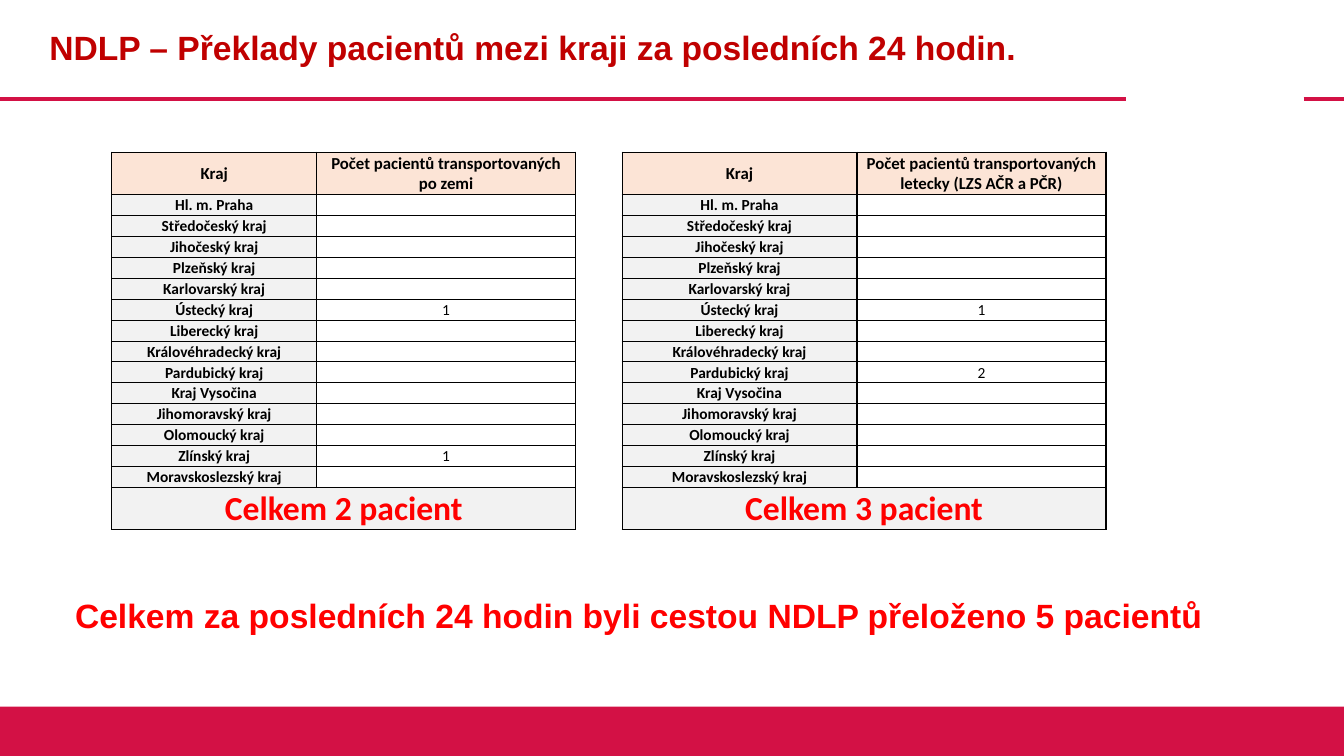
from lxml import etree
from pptx import Presentation
from pptx.dml.color import RGBColor
from pptx.enum.shapes import MSO_CONNECTOR, MSO_SHAPE
from pptx.enum.text import MSO_ANCHOR, PP_ALIGN
from pptx.oxml.ns import qn
from pptx.util import Inches, Pt

STRAIGHT = MSO_CONNECTOR.STRAIGHT
RECTANGLE = MSO_SHAPE.RECTANGLE
MIDDLE, TOP = MSO_ANCHOR.MIDDLE, MSO_ANCHOR.TOP
CENTER, LEFT = PP_ALIGN.CENTER, PP_ALIGN.LEFT

CRIMSON, DARK_RED, RED, BLACK = "D31145", "C00000", "FF0000", "000000"
PEACH, GREY = "FCE4D6", "F2F2F2"

REGIONS = [
    "Hl. m. Praha", "Středočeský kraj", "Jihočeský kraj", "Plzeňský kraj",
    "Karlovarský kraj", "Ústecký kraj", "Liberecký kraj",
    "Královéhradecký kraj", "Pardubický kraj", "Kraj Vysočina",
    "Jihomoravský kraj", "Olomoucký kraj", "Zlínský kraj",
    "Moravskoslezský kraj",
]
TABLE_TOP, TABLE_HEIGHT, TALL_ROW = 1.51, 3.75, 0.42
REGION_ROW = (TABLE_HEIGHT - 2 * TALL_ROW) / len(REGIONS)


def color(hex_value):
    return RGBColor.from_string(hex_value)


def add_run(paragraph, text, size, font_name, hex_value, bold=True):
    run = paragraph.add_run()
    run.text = text
    run.font.size = Pt(size)
    run.font.name = font_name
    run.font.bold = bold
    run.font.color.rgb = color(hex_value)


def add_heading(slide, text, box, hex_value, anchor, alignment):
    shape = slide.shapes.add_textbox(*map(Inches, box))
    frame = shape.text_frame
    frame.word_wrap = True
    frame.vertical_anchor = anchor
    paragraph = frame.paragraphs[0]
    paragraph.alignment = alignment
    add_run(paragraph, text, 24, "Arial", hex_value)
    return paragraph


def add_rule(slide, start, end):
    line = slide.shapes.add_connector(
        STRAIGHT, Inches(start), Inches(0.98), Inches(end), Inches(0.98))
    line.line.color.rgb = color(CRIMSON)
    line.line.width = Pt(3)
    etree.SubElement(line._element.spPr, qn("a:effectLst"))


def add_footer_band(slide):
    band = slide.shapes.add_shape(
        RECTANGLE, 0, Inches(7.01), Inches(13.33), Inches(0.49))
    band.shadow.inherit = False
    band.fill.solid()
    band.fill.fore_color.rgb = color(CRIMSON)
    band.line.fill.background()


def set_borders(cell, top, bottom):
    """Draw black borders, 1 pt at the sides; call before setting the fill."""
    properties = cell._tc.get_or_add_tcPr()
    widths = {"a:lnL": 1, "a:lnR": 1, "a:lnT": top, "a:lnB": bottom}
    for tag, width in widths.items():
        border = etree.SubElement(properties, qn(tag), w=str(Pt(width)))
        fill = etree.SubElement(border, qn("a:solidFill"))
        etree.SubElement(fill, qn("a:srgbClr"), val=BLACK)


def fill_cell(cell, lines, size=11, hex_value=BLACK, bold=True, fill=None,
              top=0.5, bottom=0.5):
    set_borders(cell, top, bottom)
    if fill:
        cell.fill.solid()
        cell.fill.fore_color.rgb = color(fill)
    else:
        cell.fill.background()
    cell.margin_left = cell.margin_right = cell.margin_top = Inches(0.01)
    cell.margin_bottom = 0
    cell.vertical_anchor = MIDDLE
    frame = cell.text_frame
    for index, text in enumerate(lines):
        paragraph = frame.add_paragraph() if index else frame.paragraphs[0]
        paragraph.alignment = CENTER
        add_run(paragraph, text, size, "Calibri", hex_value, bold)
    if not lines:
        # An empty cell needs a small font so that its row stays low.
        etree.SubElement(frame.paragraphs[0]._p, qn("a:endParaRPr"),
                         sz=str(size * 100))


def add_transfer_table(slide, left, widths, heading, counts, total):
    row_count = len(REGIONS) + 2
    table = slide.shapes.add_table(
        row_count, 2, Inches(left), Inches(TABLE_TOP),
        Inches(sum(widths)), Inches(TABLE_HEIGHT)).table
    table.first_row = table.horz_banding = False
    for column, width in zip(table.columns, widths):
        column.width = Inches(width)
    for index, row in enumerate(table.rows):
        is_tall = index in (0, row_count - 1)
        row.height = Inches(TALL_ROW if is_tall else REGION_ROW)

    for column, lines in enumerate((["Kraj"], heading)):
        fill_cell(table.cell(0, column), lines, size=12, fill=PEACH, top=1)
    for row, region in enumerate(REGIONS, start=1):
        fill_cell(table.cell(row, 0), [region], fill=GREY)
        count = [counts[region]] if region in counts else []
        fill_cell(table.cell(row, 1), count, bold=False)

    total_cell, covered_cell = (table.cell(row_count - 1, i) for i in (0, 1))
    total_cell.merge(covered_cell)
    fill_cell(total_cell, [total], size=24, hex_value=RED, fill=GREY, bottom=1)
    set_borders(covered_cell, 0.5, 1)


def main():
    presentation = Presentation()
    presentation.slide_width = Inches(13.33)
    presentation.slide_height = Inches(7.5)
    slide = presentation.slides.add_slide(presentation.slide_layouts[6])

    add_rule(slide, 0, 11.17)
    add_rule(slide, 12.93, 13.33)
    add_footer_band(slide)
    title = add_heading(
        slide, "NDLP – Překlady pacientů mezi kraji za posledních 24 hodin.",
        (0.39, 0, 10.81, 0.98), DARK_RED, MIDDLE, LEFT)
    title.line_spacing = 0.9

    add_transfer_table(
        slide, 1.11, (2.03, 2.57),
        ["Počet pacientů transportovaných", "po zemi"],
        {"Ústecký kraj": "1", "Zlínský kraj": "1"}, "Celkem 2 pacient")
    add_transfer_table(
        slide, 6.17, (2.33, 2.47),
        ["Počet pacientů transportovaných letecky (LZS AČR a PČR)"],
        {"Ústecký kraj": "1", "Pardubický kraj": "2"}, "Celkem 3 pacient")

    add_heading(
        slide,
        "Celkem za posledních 24 hodin byli cestou NDLP přeloženo 5 pacientů",
        (0.51, 5.85, 11.65, 0.5), RED, TOP, CENTER)
    presentation.save("out.pptx")


if __name__ == "__main__":
    main()
